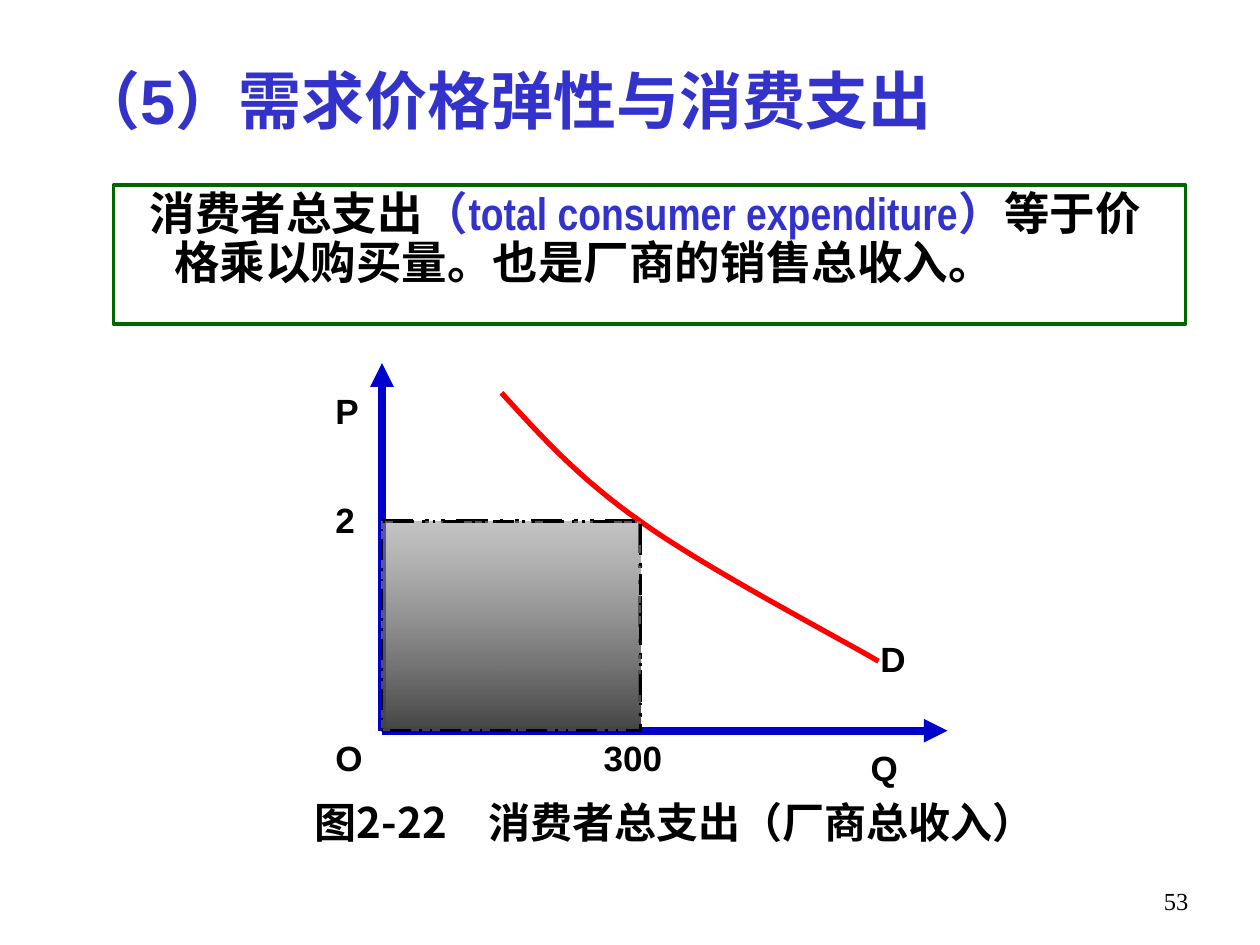
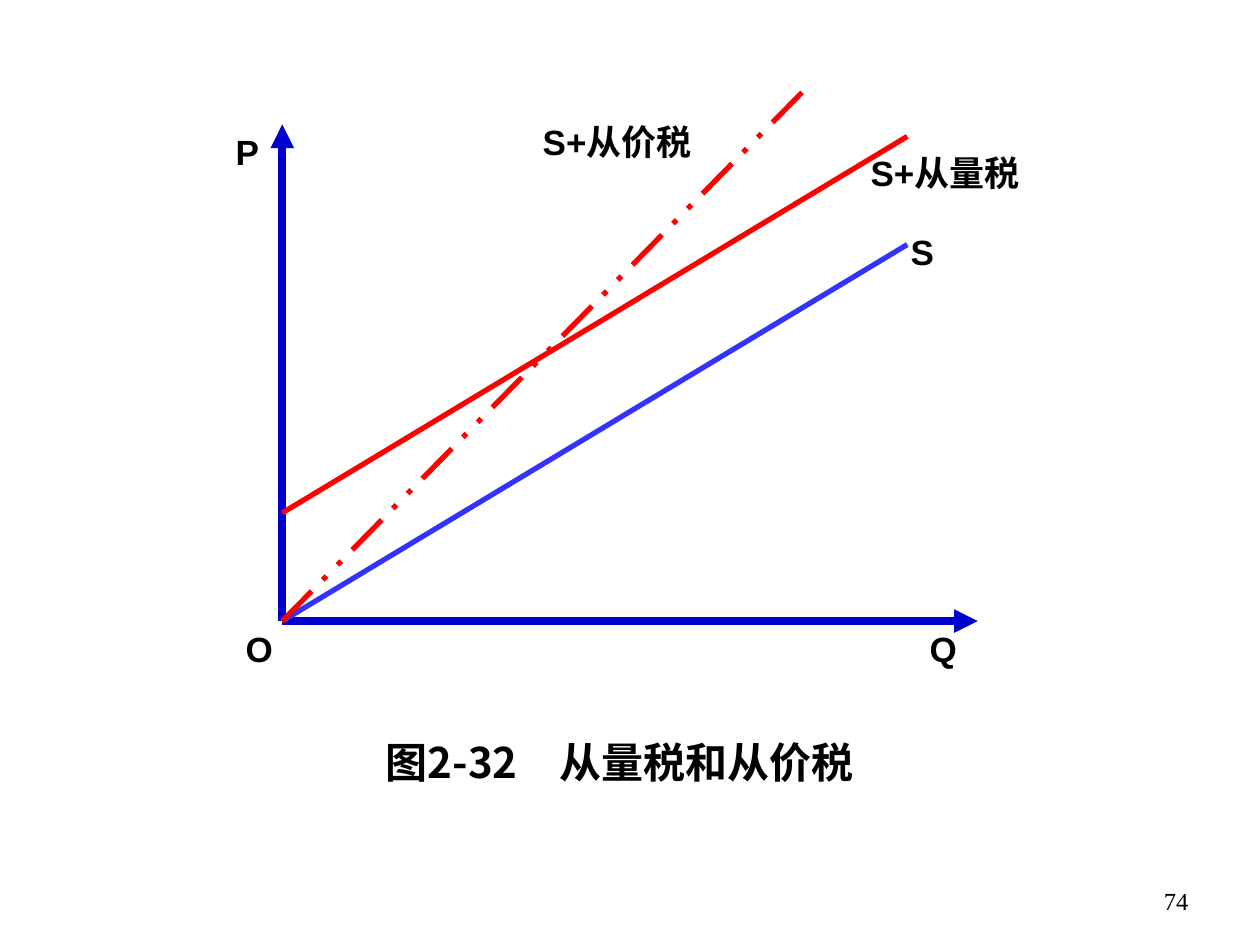
from dataclasses import dataclass

import lxml.etree
import pptx
import pptx.dml.color
import pptx.enum.dml
import pptx.enum.shapes
import pptx.enum.text
import pptx.oxml.ns
import pptx.util

Cm = pptx.util.Cm
qn = pptx.oxml.ns.qn
ALIGN = pptx.enum.text.PP_ALIGN
DASHED = pptx.enum.dml.MSO_LINE.DASH_DOT_DOT


class Theme:
    """Colours, fonts and sizes shared by the slides."""
    ink = "000000"
    heading = "3333CC"
    axis = "0000CC"
    supply = "3333FF"
    curve = "FF0000"
    frame = "006600"
    shade_top = "969696"
    shade_bottom = "454545"
    latin = "Arial"
    narrow = "Arial Narrow"
    chinese = "Noto Sans CJK SC"
    serif = "Times New Roman"
    title_size = 36
    body_size = 26
    caption_size = 24
    label_size = 20
    number_size = 14
    axis_width = 4.5
    curve_width = 3


@dataclass
class Box:
    """A region in centimetres; a diagram's origin is its lower left corner."""
    left: float
    top: float
    width: float
    height: float

    def lengths(self):
        return Cm(self.left), Cm(self.top), Cm(self.width), Cm(self.height)

    def point(self, right, up):
        return Cm(self.left + right), Cm(self.top + self.height - up)


TITLE_BOX = Box(1.3, 1.12, 20, 1.78)
DEFINITION_BOX = Box(2.29, 3.73, 21.61, 2.8)
NUMBER_BOX = Box(18.29, 17.73, 5.92, 1.32)
LABEL_HEIGHT = 1.12


def rgb(value):
    return pptx.dml.color.RGBColor.from_string(value)


# Text
def format_run(run, size, font=Theme.latin, color=Theme.ink, bold=True):
    run.font.size = pptx.util.Pt(size)
    run.font.bold = bold
    run.font.color.rgb = rgb(color)
    run.font.name = font
    east_asian = lxml.etree.SubElement(run._r.get_or_add_rPr(), qn("a:ea"))
    east_asian.set("typeface", Theme.chinese)


def prepare_frame(shape):
    frame = shape.text_frame
    frame.word_wrap = True
    frame.auto_size = pptx.enum.text.MSO_AUTO_SIZE.NONE
    frame.vertical_anchor = pptx.enum.text.MSO_ANCHOR.TOP
    return frame


def write_line(shape, text, size, align=ALIGN.LEFT, **style):
    frame = prepare_frame(shape)
    frame.text = text
    paragraph = frame.paragraphs[0]
    paragraph.alignment = align
    format_run(paragraph.runs[0], size, **style)


def add_text(slide, box, text, size, **style):
    write_line(slide.shapes.add_textbox(*box.lengths()), text, size, **style)


def place(shape, box):
    shape.left, shape.top, shape.width, shape.height = box.lengths()


def add_title(slide, text):
    place(slide.shapes.title, TITLE_BOX)
    write_line(slide.shapes.title, text, Theme.title_size, color=Theme.heading)


def add_definition(slide, box, parts):
    shape = slide.placeholders[1]
    place(shape, box)
    style_line(shape.line, Theme.frame, 2)
    paragraph = prepare_frame(shape).paragraphs[0]
    properties = paragraph._p.get_or_add_pPr()
    properties.set("marL", str(Cm(0.97)))
    properties.set("indent", str(Cm(-0.5)))
    lxml.etree.SubElement(properties, qn("a:buNone"))
    paragraph.line_spacing = 0.9
    paragraph.space_before = pptx.util.Pt(0)
    for text, font, color in parts:
        run = paragraph.add_run()
        run.text = text
        format_run(run, Theme.body_size, font, color)


def add_caption(slide, box, text, align=ALIGN.LEFT):
    add_text(slide, box, text, Theme.caption_size, align=align, font=Theme.chinese)


def add_slide_number(slide, number):
    add_text(slide, NUMBER_BOX, str(number), Theme.number_size,
             align=ALIGN.RIGHT, font=Theme.serif, bold=False)


# Lines and diagram parts
def style_line(line, color, width, dash=None):
    line.color.rgb = rgb(color)
    line.width = pptx.util.Pt(width)
    if dash:
        line.dash_style = dash


def add_segment(slide, plot, start, end, color, width=Theme.curve_width,
                dash=None, arrow=False):
    connector = slide.shapes.add_connector(
        pptx.enum.shapes.MSO_CONNECTOR.STRAIGHT, *plot.point(*start), *plot.point(*end))
    style_line(connector.line, color, width, dash)
    if arrow:
        tail = lxml.etree.SubElement(connector.line._get_or_add_ln(), qn("a:tailEnd"))
        tail.set("type", "triangle")
    lxml.etree.SubElement(connector._element.spPr, qn("a:effectLst"))


def add_axes(slide, plot):
    for end in ((plot.width, 0), (0, plot.height)):
        add_segment(slide, plot, (0, 0), end, Theme.axis, Theme.axis_width, arrow=True)


def add_labels(slide, plot, labels, width):
    """Each label is its text and the offset of its top left corner."""
    for text, right, up in labels:
        box = Box(plot.left + right, plot.top + plot.height - up,
                  4 if len(text) > 3 else width, LABEL_HEIGHT)
        add_text(slide, box, text, Theme.label_size)


def bezier(points, steps=16):
    """Points along a cubic curve, without its start."""
    for step in range(1, steps + 1):
        t = step / steps
        weights = ((1 - t) ** 3, 3 * t * (1 - t) ** 2, 3 * t ** 2 * (1 - t), t ** 3)
        yield tuple(sum(weight * point[axis] for weight, point in zip(weights, points))
                    for axis in (0, 1))


def add_demand_curve(slide, plot, controls):
    outline = [*bezier(controls[:4]), *bezier(controls[3:])]
    builder = slide.shapes.build_freeform(*plot.point(*controls[0]))
    builder.add_line_segments([plot.point(*point) for point in outline], close=False)
    curve = builder.convert_to_shape()
    curve.shadow.inherit = False
    curve.fill.background()
    style_line(curve.line, Theme.curve, Theme.curve_width)


def add_expenditure_area(slide, plot, quantity, price):
    area = slide.shapes.add_shape(
        pptx.enum.shapes.MSO_SHAPE.RECTANGLE, *plot.point(0, price), Cm(quantity), Cm(price))
    area.shadow.inherit = False
    area.fill.gradient()
    area.fill.gradient_angle = 270
    for stop, color in zip(area.fill.gradient_stops, (Theme.shade_top, Theme.shade_bottom)):
        stop.color.rgb = rgb(color)
    first_color = next(area._element.spPr.iter(qn("a:srgbClr")))
    lxml.etree.SubElement(first_color, qn("a:alpha")).set("val", "56000")
    style_line(area.line, Theme.ink, 1.5, DASHED)


# Diagrams
def draw_expenditure(slide, plot):
    quantity, price = 5.21, 4.22
    equilibrium = (quantity, price)
    add_axes(slide, plot)
    for start, end in (((0, price), equilibrium), (equilibrium, (quantity, 0))):
        add_segment(slide, plot, start, end, Theme.ink, 2.25, DASHED)
    add_demand_curve(slide, plot, [
        (2.41, 6.81), (3.18, 5.97), (3.94, 5.11), equilibrium,
        (6.48, 3.3), (9.19, 1.88), (10.01, 1.4)])
    add_expenditure_area(slide, plot, quantity, price)
    add_labels(slide, plot, [
        ("300", 4.22, 0), ("2", -1.19, 4.8), ("P", -1.19, 7.01),
        ("O", -1.19, 0), ("Q", 9.6, -0.2), ("D", 9.8, 2.01)], 2)


def draw_taxes(slide, plot):
    run, rise, unit_tax = 12.6, 7.59, 2.18
    add_axes(slide, plot)
    add_segment(slide, plot, (0, 0), (run, rise), Theme.supply)
    add_segment(slide, plot, (0, unit_tax), (run, rise + unit_tax), Theme.curve)
    add_segment(slide, plot, (0, 0), (10.62, 10.8), Theme.curve, dash=DASHED)
    add_labels(slide, plot, [
        ("O", -0.99, 0), ("P", -1.19, 10.01), ("Q", 12.8, 0), ("S", 12.42, 8),
        ("S+从价税", 5, 10.21), ("S+从量税", 11.61, 9.6)], 1.6)


# Slides
def build_expenditure_slide(presentation):
    slide = presentation.slides.add_slide(presentation.slide_layouts[1])
    add_title(slide, "（5）需求价格弹性与消费支出")
    add_definition(slide, DEFINITION_BOX, [
        ("消费者总支出", Theme.chinese, Theme.ink),
        ("（total consumer expenditure）", Theme.narrow, Theme.heading),
        ("等于价格乘以购买量。也是厂商的销售总收入。", Theme.chinese, Theme.ink)])
    draw_expenditure(slide, Box(7.7, 7.32, 11.4, 7.41))
    add_caption(slide, Box(6.1, 15.93, 15.6, 2.29), "图2-22　消费者总支出（厂商总收入）")
    add_slide_number(slide, 53)


def build_tax_slide(presentation):
    slide = presentation.slides.add_slide(presentation.slide_layouts[6])
    draw_taxes(slide, Box(5.69, 2.51, 14.02, 10.01))
    add_caption(slide, Box(4.9, 14.73, 15.19, 1.27), "图2-32　从量税和从价税", ALIGN.CENTER)
    add_slide_number(slide, 74)


def main():
    presentation = pptx.Presentation()
    presentation.slide_width = Cm(25.4)
    presentation.slide_height = Cm(19.05)
    build_expenditure_slide(presentation)
    build_tax_slide(presentation)
    presentation.save("out.pptx")


if __name__ == "__main__":
    main()
